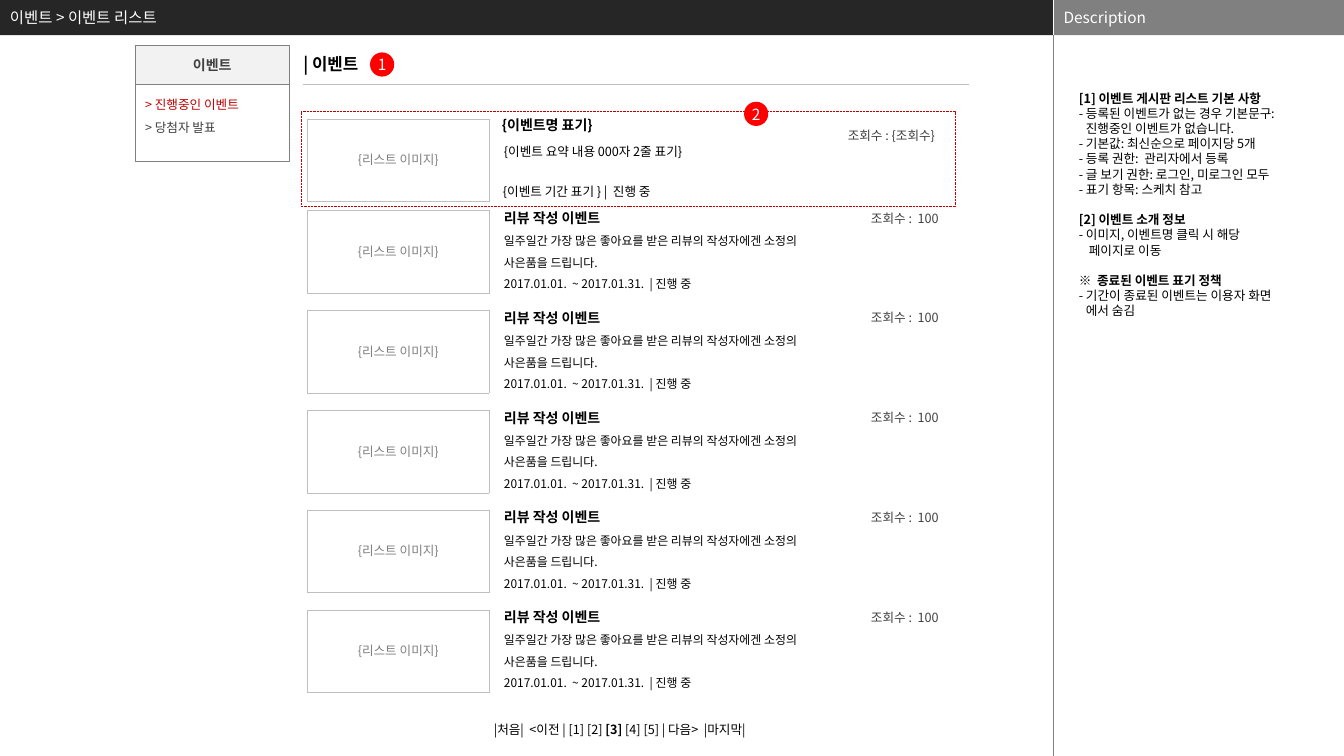
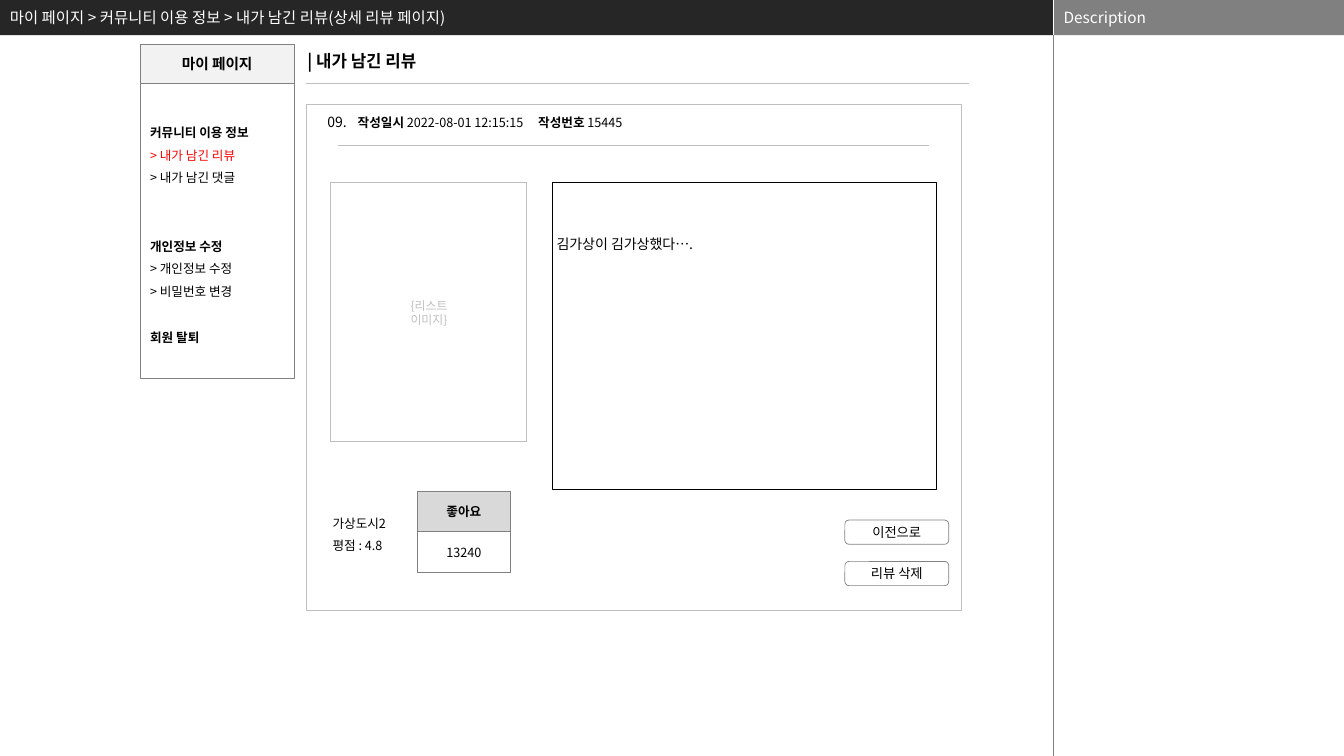
from lxml import etree
from pptx import Presentation
from pptx.dml.color import RGBColor
from pptx.enum.dml import MSO_LINE
from pptx.enum.shapes import MSO_CONNECTOR, MSO_SHAPE
from pptx.enum.text import MSO_ANCHOR, PP_ALIGN
from pptx.oxml.ns import qn
from pptx.util import Inches, Pt

FONT = "Noto Sans CJK KR"
BLACK = RGBColor(0x00, 0x00, 0x00)
WHITE = RGBColor(0xFF, 0xFF, 0xFF)
HEADER = RGBColor(0x26, 0x26, 0x26)
DARK = RGBColor(0x40, 0x40, 0x40)
GRAY = RGBColor(0x80, 0x80, 0x80)
LIGHT = RGBColor(0xBF, 0xBF, 0xBF)
HEAD_CELL = RGBColor(0xD9, 0xD9, 0xD9)
PANEL = RGBColor(0xF2, 0xF2, 0xF2)
RED = RGBColor(0xFF, 0x00, 0x00)
DARK_RED = RGBColor(0xC0, 0x00, 0x00)

RECT = MSO_SHAPE.RECTANGLE
ROUND = MSO_SHAPE.ROUNDED_RECTANGLE
OVAL = MSO_SHAPE.OVAL
STRAIGHT = MSO_CONNECTOR.STRAIGHT
DOTTED = MSO_LINE.ROUND_DOT
TOP, MIDDLE = MSO_ANCHOR.TOP, MSO_ANCHOR.MIDDLE
LEFT, CENTER = PP_ALIGN.LEFT, PP_ALIGN.CENTER

WIDTH, HEIGHT = 13.33, 7.5
MAIN_WIDTH, BAR_HEIGHT = 10.45, 0.35
TEXT_INSETS = (0.1, 0.05, 0.1, 0.05)
NO_INSETS = (0, 0, 0, 0)


def write(frame, paragraphs, size=9, color=BLACK, bold=False, align=LEFT, spacing=None):
    """Fill a text frame; a paragraph is a string or a dict that overrides the format.

    The "text" of a dict is a string or a list of (string, run overrides).
    """
    for index, item in enumerate(paragraphs):
        item = {"text": item} if isinstance(item, str) else item
        paragraph = frame.add_paragraph() if index else frame.paragraphs[0]
        paragraph.alignment = align
        if spacing:
            paragraph.line_spacing = spacing
        if "before" in item:
            paragraph.space_before = Pt(item["before"])
        properties = paragraph._p.get_or_add_pPr()
        if "indent" in item:
            properties.set("marL", str(Inches(item["indent"])))
        if "tabs" in item:
            tab_list = etree.SubElement(properties, qn("a:tabLst"))
            for position in item["tabs"]:
                etree.SubElement(tab_list, qn("a:tab"), pos=str(Inches(position)), algn="l")
        text = item["text"]
        for words, override in [(text, {})] if isinstance(text, str) else text:
            style = {"size": size, "color": color, "bold": bold, **item, **override}
            run = paragraph.add_run()
            run.text = words
            run.font.name = FONT
            run.font.size = Pt(style["size"])
            run.font.bold = style["bold"]
            run.font.color.rgb = style["color"]
            etree.SubElement(run._r.get_or_add_rPr(), qn("a:ea"), typeface=FONT)


def set_frame(frame, anchor, insets):
    frame.word_wrap = True
    frame.vertical_anchor = anchor
    frame.margin_left, frame.margin_top, frame.margin_right, frame.margin_bottom = map(Inches, insets)


def add_text(slide, box, *paragraphs, anchor=TOP, insets=TEXT_INSETS, **text_format):
    shape = slide.shapes.add_textbox(*map(Inches, box))
    set_frame(shape.text_frame, anchor, insets)
    write(shape.text_frame, paragraphs, **text_format)


def add_box(slide, box, *paragraphs, kind=RECT, fill=None, line=None, weight=0.5, dash=None,
            corner=None, anchor=MIDDLE, insets=TEXT_INSETS, **text_format):
    shape = slide.shapes.add_shape(kind, *map(Inches, box))
    shape.shadow.inherit = False
    if corner is not None:
        shape.adjustments[0] = corner
    if fill is None:
        shape.fill.background()
    else:
        shape.fill.solid()
        shape.fill.fore_color.rgb = fill
    if line is None:
        shape.line.fill.background()
    else:
        shape.line.color.rgb = line
        shape.line.width = Pt(weight)
    if dash is not None:
        shape.line.dash_style = dash
    set_frame(shape.text_frame, anchor, insets)
    write(shape.text_frame, paragraphs, **text_format)


def add_line(slide, start, end, color=LIGHT, weight=0.75):
    line = slide.shapes.add_connector(STRAIGHT, *map(Inches, start + end))
    line.line.color.rgb = color
    line.line.width = Pt(weight)
    etree.SubElement(line._element.spPr, qn("a:effectLst"))


def set_borders(cell, color, weight=0.5):
    properties = cell._tc.get_or_add_tcPr()
    for index, side in enumerate(("a:lnL", "a:lnR", "a:lnT", "a:lnB")):
        border = etree.Element(qn(side), w=str(Pt(weight)))
        fill = etree.SubElement(border, qn("a:solidFill"))
        etree.SubElement(fill, qn("a:srgbClr"), val=str(color))
        properties.insert(index, border)


def add_column_table(slide, box, texts=("",), border=LIGHT, head_fill=None):
    """Add a one-column table whose first cell is a bold heading."""
    table = slide.shapes.add_table(len(texts), 1, *map(Inches, box)).table
    table.first_row = table.horz_banding = False
    for index, text in enumerate(texts):
        cell = table.cell(index, 0)
        if head_fill is not None and index == 0:
            cell.fill.solid()
            cell.fill.fore_color.rgb = head_fill
        else:
            cell.fill.background()
        set_borders(cell, border)
        if text:
            cell.vertical_anchor = MIDDLE
            cell.margin_left = cell.margin_right = cell.margin_top = cell.margin_bottom = 0
            write(cell.text_frame, [text], bold=index == 0, align=CENTER)


def add_screen(presentation, breadcrumb):
    """Add a slide with the header bars, the divider and the breadcrumb."""
    slide = presentation.slides.add_slide(presentation.slide_layouts[6])
    description = (MAIN_WIDTH, 0, WIDTH - MAIN_WIDTH, BAR_HEIGHT)
    add_box(slide, (0, 0, MAIN_WIDTH, BAR_HEIGHT), fill=HEADER)
    add_box(slide, description, fill=GRAY)
    add_line(slide, (MAIN_WIDTH, 0), (MAIN_WIDTH, BAR_HEIGHT), WHITE, 0.25)
    add_line(slide, (MAIN_WIDTH, BAR_HEIGHT), (MAIN_WIDTH, HEIGHT), GRAY, 0.25)
    add_text(slide, description, "Description", anchor=MIDDLE, size=11, color=WHITE)
    add_text(slide, (0, 0, 10.16, BAR_HEIGHT), breadcrumb, anchor=MIDDLE, size=11, color=WHITE)
    return slide


def add_page_title(slide, left, top, title, rule_left, rule_top):
    add_text(slide, (left, top, 2.76, 0.3), title, size=12, bold=True)
    add_line(slide, (rule_left, rule_top), (9.61, rule_top))


def add_side_menu(slide, left, top, height, title, items, anchor, title_size, title_color):
    width, title_height = 1.53, 0.39
    panel = {"kind": ROUND, "corner": 0, "line": GRAY}
    add_box(slide, (left, top + title_height, width, height), *items,
            anchor=anchor, spacing=1.5, **panel)
    add_box(slide, (left, top, width, title_height), title, fill=PANEL, size=title_size,
            color=title_color, bold=True, align=CENTER, **panel)


def add_marker(slide, left, top, number):
    add_box(slide, (left, top, 0.24, 0.24), number, kind=OVAL, fill=RED, insets=NO_INSETS,
            size=11, color=WHITE, align=CENTER)


def add_list_image(slide, left, top):
    add_column_table(slide, (left, top, 1.8, 0.82))
    add_box(slide, (left + 0.35, top + 0.28, 1.1, 0.25), "{리스트 이미지}", fill=WHITE,
            color=GRAY, align=CENTER)


def add_event(slide, left, top):
    add_list_image(slide, left, top)
    add_text(slide, (left + 1.85, top - 0.06, 3.28, 0.89),
             {"text": "리뷰 작성 이벤트", "size": 10, "bold": True}, size=8.5)
    add_text(slide, (left + 1.85, top + 0.11, 3.28, 0.72),
             "일주일간 가장 많은 좋아요를 받은 리뷰의 작성자에겐 소정의 사은품을 드립니다.",
             "2017.01.01.  ~ 2017.01.31.  | 진행 중", size=8.5, spacing=1.5)
    add_text(slide, (left + 5.49, top - 0.05, 0.97, 0.25), "조회수 :  100", color=DARK)


def add_event_template(slide, left, top):
    """Add the first list row, which names the fields of an event."""
    add_list_image(slide, left, top)
    add_text(slide, (left + 1.83, top - 0.07, 1.21, 0.27), "{이벤트명 표기}", size=10, bold=True)
    add_text(slide, (left + 1.85, top + 0.12, 2.17, 0.55), "{이벤트 요약 내용 000자 2줄 표기}",
             spacing=1.5)
    add_text(slide, (left + 1.84, top + 0.59, 1.97, 0.25), "{이벤트 기간 표기 } |  진행 중")
    add_text(slide, (left + 5.26, top + 0.04, 1.15, 0.4), "조회수 : {조회수}", color=DARK)
    add_box(slide, (left - 0.06, top - 0.07, 6.49, 0.94), line=DARK_RED, dash=DOTTED)
    add_marker(slide, left + 4.33, top - 0.17, "2")


def add_description(slide, left, top):
    heading = {"bold": True, "before": 10.9}
    add_text(
        slide, (left, top, 2.34, 6.5),
        {"text": "[1] 이벤트 게시판 리스트 기본 사항", "bold": True},
        "- 등록된 이벤트가 없는 경우 기본문구:",
        {"text": "진행중인 이벤트가 없습니다.", "indent": 0.07},
        "- 기본값: 최신순으로 페이지당 5개",
        "- 등록 권한:  관리자에서 등록",
        "- 글 보기 권한: 로그인, 미로그인 모두",
        "- 표기 항목: 스케치 참고",
        {"text": "[2] 이벤트 소개 정보", **heading},
        "- 이미지, 이벤트명 클릭 시 해당",
        {"text": "페이지로 이동", "indent": 0.1},
        {"text": [("※  ", {"bold": False}), ("종료된 이벤트 표기 정책", {})], **heading},
        "- 기간이 종료된 이벤트는 이용자 화면",
        {"text": "에서 숨김", "indent": 0.07},
        insets=(0.04, 0, 0.04, 0))


def build_event_list(presentation):
    slide = add_screen(presentation, "이벤트 > 이벤트 리스트")
    add_description(slide, 10.66, 0.9)
    add_page_title(slide, 2.91, 0.48, "| 이벤트", 3.01, 0.84)
    add_marker(slide, 3.67, 0.52, "1")
    for row in range(5):
        add_event(slide, 3.05, 2.09 + 0.99 * row)
    add_event_template(slide, 3.05, 1.18)
    add_text(slide, (4.8, 7.11, 3.03, 0.25),
             {"text": [("|처음|  <이전 | [1] [2] ", {}), ("[3]", {"bold": True}),
                       (" [4] [5] | 다음>  |마지막|", {})]})
    menu = [{"text": "> 진행중인 이벤트", "color": DARK_RED}, {"text": "> 당첨자 발표", "color": DARK}]
    add_side_menu(slide, 1.34, 0.45, 0.76, "이벤트", menu, TOP, 10, DARK)


def add_review(slide, left, top):
    add_box(slide, (left, top, 6.5, 5.02), line=LIGHT)
    bold = {"bold": True}
    add_text(slide, (left + 0.11, top + 0.04, 3.94, 0.27),
             {"text": [("09.", {"size": 10}), ("\t", {}), ("작성일시", bold),
                       (" 2022-08-01 12:15:15\t", {}), ("작성번호 ", bold), ("15445", {})],
              "tabs": (0.3, 2.09)})
    add_line(slide, (left + 0.31, top + 0.4), (left + 6.17, top + 0.4))
    add_column_table(slide, (left + 0.24, top + 0.77, 1.94, 2.57))
    add_box(slide, (left + 1.02, top + 1.92, 0.39, 0.56), "{리스트", "이미지}", fill=WHITE,
            anchor=TOP, insets=NO_INSETS, size=8.5, color=LIGHT, align=CENTER)
    add_box(slide, (left + 2.44, top + 0.77, 3.81, 3.05), "김가상이 김가상했다….", fill=WHITE,
            line=BLACK, weight=0.75, anchor=TOP, insets=(0.04, 0.53, 0.04, 0.04), size=10)
    add_text(slide, (left + 0.16, top + 3.95, 0.8, 0.55), "가상도시2", "평점 : 4.8", spacing=1.5)
    add_column_table(slide, (left + 1.1, top + 3.83, 0.92, 0.81), ("좋아요", "13240"),
                     border=GRAY, head_fill=HEAD_CELL)
    for row, label in enumerate(("이전으로", "리뷰 삭제")):
        add_box(slide, (left + 5.34, top + 4.12 + 0.41 * row, 1.03, 0.24), label, kind=ROUND,
                line=GRAY, insets=(0.05, 0.05, 0.05, 0.05), size=9.5, align=CENTER)


def build_review_detail(presentation):
    slide = add_screen(presentation, "마이 페이지 > 커뮤니티 이용 정보 > 내가 남긴 리뷰(상세 리뷰 페이지)")
    add_page_title(slide, 2.95, 0.45, "| 내가 남긴 리뷰", 3.04, 0.83)
    add_review(slide, 3.04, 1.04)
    menu = [
        {"text": "커뮤니티 이용 정보", "bold": True},
        {"text": "> 내가 남긴 리뷰", "color": RED},
        "> 내가 남긴 댓글",
        {"text": "개인정보 수정", "bold": True, "before": 32.5},
        "> 개인정보 수정",
        "> 비밀번호 변경",
        {"text": "회원 탈퇴", "bold": True, "before": 16.25},
    ]
    add_side_menu(slide, 1.39, 0.44, 2.92, "마이 페이지", menu, MIDDLE, 10.5, BLACK)


def main():
    presentation = Presentation()
    presentation.slide_width, presentation.slide_height = Inches(WIDTH), Inches(HEIGHT)
    build_event_list(presentation)
    build_review_detail(presentation)
    presentation.save("out.pptx")


if __name__ == "__main__":
    main()
